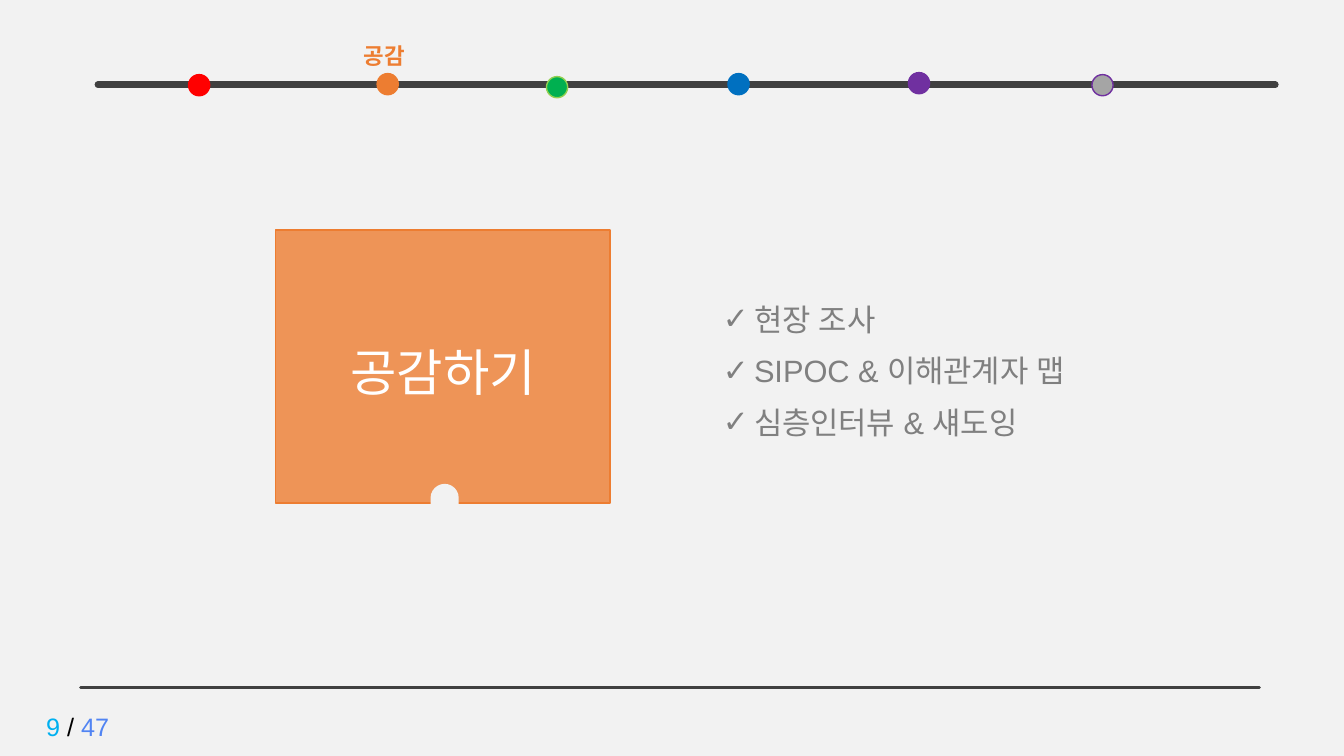
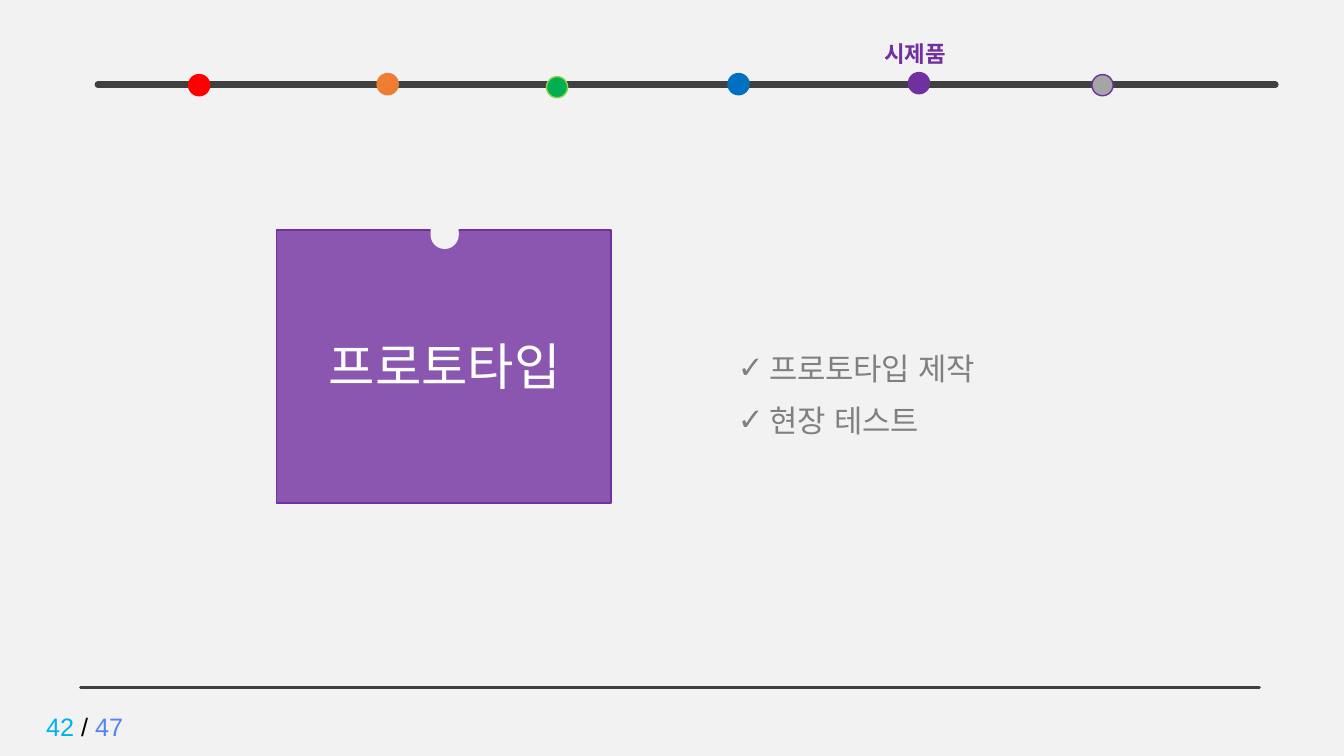
"""Build two chapter slides with a shared progress line, notched card and checklist."""
from pptx import Presentation
from pptx.dml.color import RGBColor
from pptx.enum.shapes import MSO_CONNECTOR, MSO_SHAPE
from pptx.enum.text import MSO_AUTO_SIZE, PP_ALIGN
from pptx.oxml.ns import qn
from pptx.util import Inches, Pt
from lxml.etree import SubElement

BACKGROUND = RGBColor(0xF2, 0xF2, 0xF2)
DARK = RGBColor(0x40, 0x40, 0x40)
GRAY = RGBColor(0x80, 0x80, 0x80)
SILVER = RGBColor(0xA5, 0xA5, 0xA5)
WHITE = RGBColor(0xFF, 0xFF, 0xFF)
BLACK = RGBColor(0x00, 0x00, 0x00)
RED = RGBColor(0xFF, 0x00, 0x00)
ORANGE = RGBColor(0xED, 0x7D, 0x31)
GREEN = RGBColor(0x00, 0xB0, 0x50)
LIME = RGBColor(0x92, 0xD0, 0x50)
BLUE = RGBColor(0x00, 0x70, 0xC0)
PURPLE = RGBColor(0x70, 0x30, 0xA0)
SKY = RGBColor(0x00, 0xB0, 0xF0)
PERIWINKLE = RGBColor(0x51, 0x84, 0xF3)

BODY_FONT = "Arial"
CAPTION_FONT = "Noto Sans CJK KR"
PAGE_TOTAL = "47"
DOT_SIZE = 0.21
NOTCH_LEFT, NOTCH_WIDTH, NOTCH_HEIGHT = 4.22, 0.38, 0.28

RULES = [(0.8, 12.49, 6.82, 2.25), (0.97, 12.65, 0.84, 4.5)]
DOTS = [
    (1.87, 0.74, RED, RED),
    (3.74, 0.73, ORANGE, ORANGE),
    (5.42, 0.76, GREEN, LIME),
    (7.22, 0.73, BLUE, BLUE),
    (9.01, 0.72, PURPLE, PURPLE),
    (10.83, 0.74, SILVER, PURPLE),
]
CHAPTERS = [
    {
        "number": "9", "color": ORANGE, "card_left": 2.73, "notch_top": 4.85,
        "title": "공감하기", "title_at": (3.28, 3.33, 2.23, 0.71),
        "caption": "공감", "caption_at": (3.51, 0.37, 0.65, 0.37),
        "items": ["현장 조사", "SIPOC & 이해관계자 맵", "심층인터뷰 & 섀도잉"],
        "items_at": (7.07, 2.93, 4.08, 1.51),
    },
    {
        "number": "42", "color": PURPLE, "card_left": 2.74, "notch_top": 2.14,
        "title": "프로토타입", "title_at": (3.05, 3.28, 2.72, 0.71),
        "caption": "시제품", "caption_at": (8.67, 0.35, 0.88, 0.37),
        "items": ["프로토타입 제작", "현장 테스트"],
        "items_at": (7.22, 3.42, 4.08, 0.99),
    },
]


def add_text(page, at, lines, size, font=BODY_FONT, bold=False, wrap=True):
    """Add a text box whose lines are lists of (text, color) spans."""
    box = page.shapes.add_textbox(*map(Inches, at))
    frame = box.text_frame
    frame.word_wrap = wrap
    frame.auto_size = MSO_AUTO_SIZE.SHAPE_TO_FIT_TEXT
    for index, line in enumerate(lines):
        para = frame.add_paragraph() if index else frame.paragraphs[0]
        for text, color in line:
            span = para.add_run()
            span.text = text
            span.font.size = Pt(size)
            span.font.bold = bold
            span.font.color.rgb = color
            span.font.name = font
            SubElement(span.font._element, qn("a:ea"), typeface=font)
    return frame


def add_filled(page, kind, at, fill, outline=None):
    """Add a flat preset shape with an optional one-point outline."""
    shape = page.shapes.add_shape(kind, *map(Inches, at))
    shape.shadow.inherit = False
    shape.fill.solid()
    shape.fill.fore_color.rgb = fill
    if outline is None:
        shape.line.fill.background()
    else:
        shape.line.color.rgb = outline
        shape.line.width = Pt(1)
    return shape


deck = Presentation()
deck.slide_width, deck.slide_height = Inches(13.33), Inches(7.5)

for chapter in CHAPTERS:
    page = deck.slides.add_slide(deck.slide_layouts[6])
    page.background.fill.solid()
    page.background.fill.fore_color.rgb = BACKGROUND
    color = chapter["color"]

    footer = [(chapter["number"] + " ", SKY), ("/ ", BLACK), (PAGE_TOTAL, PERIWINKLE)]
    add_text(page, (0.36, 7.01, 1.1, 0.4), [footer], 18)

    card = add_filled(page, MSO_SHAPE.RECTANGLE, (chapter["card_left"], 2.28, 3.32, 2.71), color, color)
    card_color = card._element.spPr.find(qn("a:solidFill")).find(qn("a:srgbClr"))
    SubElement(card_color, qn("a:alpha"), val="80000")

    notch_at = (NOTCH_LEFT, chapter["notch_top"], NOTCH_WIDTH, NOTCH_HEIGHT)
    notch = add_filled(page, MSO_SHAPE.ROUNDED_RECTANGLE, notch_at, BACKGROUND)
    notch.adjustments[0] = 0.5
    notch.rotation = 270

    title = add_text(page, chapter["title_at"], [[(chapter["title"], WHITE)]], 36)
    title.paragraphs[0].alignment = PP_ALIGN.CENTER

    checklist = add_text(page, chapter["items_at"], [[(item, GRAY)] for item in chapter["items"]], 22)
    for index, para in enumerate(checklist.paragraphs):
        if index:
            para.space_before = Pt(10.5)
        properties = para._element.get_or_add_pPr()
        properties.set("marL", str(Inches(0.31)))
        properties.set("indent", str(-Inches(0.31)))
        SubElement(properties, qn("a:buFont"), typeface=BODY_FONT)
        SubElement(properties, qn("a:buChar"), char="✓")

    add_text(page, chapter["caption_at"], [[(chapter["caption"], color)]], 16, CAPTION_FONT, True, False)

    for start, end, top, weight in RULES:
        rule = page.shapes.add_connector(
            MSO_CONNECTOR.STRAIGHT, Inches(start), Inches(top), Inches(end), Inches(top))
        rule.line.color.rgb = DARK
        rule.line.width = Pt(weight)
        rule._element.spPr.find(qn("a:ln")).set("cap", "rnd")
        SubElement(rule._element.spPr, qn("a:effectLst"))

    for left, top, fill, outline in DOTS:
        add_filled(page, MSO_SHAPE.OVAL, (left, top, DOT_SIZE, DOT_SIZE), fill, outline)

deck.save("out.pptx")
